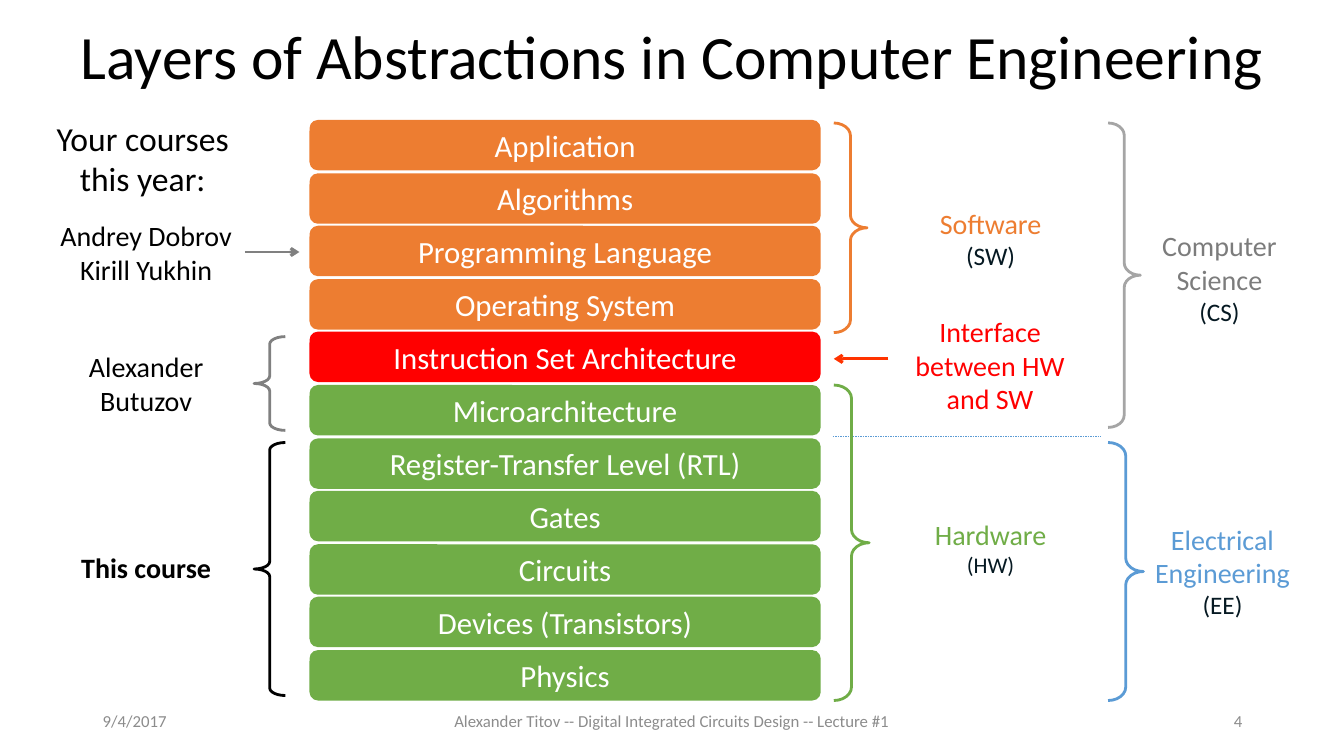
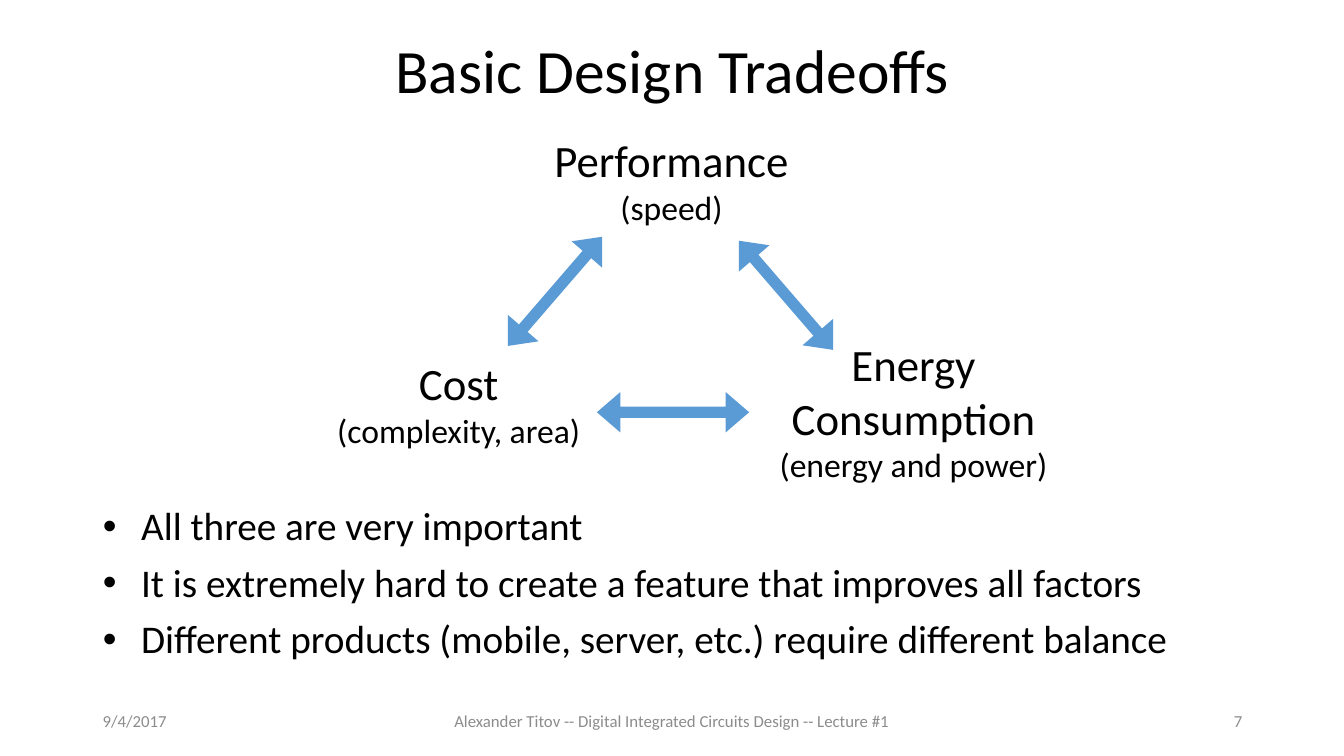
"""Build two lecture slides: the layers of abstraction and the design tradeoffs."""
from lxml.etree import SubElement
from pptx import Presentation
from pptx.dml.color import RGBColor
from pptx.enum.dml import MSO_LINE
from pptx.enum.shapes import MSO_CONNECTOR, MSO_SHAPE
from pptx.enum.text import MSO_ANCHOR, MSO_AUTO_SIZE, PP_ALIGN
from pptx.oxml.ns import qn
from pptx.util import Emu, Pt

PX = 9144
FONT = "Calibri"
BLACK = RGBColor(0x00, 0x00, 0x00)
WHITE = RGBColor(0xFF, 0xFF, 0xFF)
ORANGE = RGBColor(0xED, 0x7D, 0x31)
RED = RGBColor(0xFF, 0x00, 0x00)
ARROW_RED = RGBColor(0xFF, 0x33, 0x00)
GREEN = RGBColor(0x70, 0xAD, 0x47)
BLUE = RGBColor(0x5B, 0x9B, 0xD5)
NAVY = RGBColor(0x06, 0x19, 0x22)
GRAY = RGBColor(0x80, 0x80, 0x80)
LIGHT_GRAY = RGBColor(0xA5, 0xA5, 0xA5)
DARK_GRAY = RGBColor(0x7C, 0x7C, 0x7C)
FOOTER_GRAY = RGBColor(0x8C, 0x8C, 0x8C)

DATE = "9/4/2017"
FOOTER = "Alexander Titov -- Digital Integrated Circuits Design -- Lecture #1"

LAYERS_TITLE = "Layers of Abstractions in Computer Engineering"
LAYERS = [
    ("Application", ORANGE),
    ("Algorithms", ORANGE),
    ("Programming Language", ORANGE),
    ("Operating System", ORANGE),
    ("Instruction Set Architecture", RED),
    ("Microarchitecture", GREEN),
    ("Register-Transfer Level (RTL)", GREEN),
    ("Gates", GREEN),
    ("Circuits", GREEN),
    ("Devices (Transistors)", GREEN),
    ("Physics", GREEN),
]
LAYER_LEFT, LAYER_TOP, LAYER_WIDTH, LAYER_HEIGHT = 307, 119, 507, 50
LAYER_PITCH = 52.6

BRACES = [
    (MSO_SHAPE.RIGHT_BRACE, (827, 382, 35, 313), 0.38, GREEN),
    (MSO_SHAPE.RIGHT_BRACE, (827, 122, 33, 208), 0.38, ORANGE),
    (MSO_SHAPE.RIGHT_BRACE, (1099, 122, 32, 302), 0.38, LIGHT_GRAY),
    (MSO_SHAPE.RIGHT_BRACE, (1099, 439, 35, 256), 0.38, BLUE),
    (MSO_SHAPE.LEFT_BRACE, (252, 334, 31, 93), 0.24, GRAY),
    (MSO_SHAPE.LEFT_BRACE, (252, 439, 31, 251), 0.24, BLACK),
]
ARROWS = [((881, 356), (827, 356), ARROW_RED), ((243, 250), (297, 250), GRAY)]
DIVIDER = ((826, 433), (1092, 433), BLUE)

LAYER_LABELS = [
    ((903, 508, 159, 62),
     [[("Hardware", 20, GREEN), (" ", 16, GREEN), ("(HW)", 16, NAVY)]]),
    ((904, 200, 157, 65), [[("Software ", 20, ORANGE), ("(SW)", 18, NAVY)]]),
    ((890, 307, 184, 98), [[("Interface between HW and SW", 20, RED)]]),
    ((1131, 222, 157, 108),
     [[("Computer Science", 20, DARK_GRAY)], [("(CS)", 18, NAVY)]]),
    ((1134, 513, 157, 108),
     [[("Electrical Engineering", 20, BLUE)], [("(EE)", 18, NAVY)]]),
    ((38, 342, 214, 77), [[("Alexander Butuzov", 20, BLACK)]]),
    ((20, 212, 250, 77),
     [[("Andrey Dobrov", 20, BLACK)], [("Kirill Yukhin", 20, BLACK)]]),
    ((20, 112, 243, 91), [[("Your courses this year:", 24, BLACK)]]),
    ((38, 541, 214, 44), [[("This course", 20, BLACK, True)]]),
]

TRADEOFFS_TITLE = "Basic Design Tradeoffs"
FACTORS = [
    ((502, 127, 328, 104), "Performance", "(speed)"),
    ((291, 348, 328, 104), "Cost", "(complexity, area)"),
    ((742, 329, 328, 158), "Energy Consumption", "(energy and power)"),
]
FACTOR_ARROWS = [
    ((708, 273, 143, 40), 49.2),
    ((479, 269, 143, 40), 130.8),
    ((592, 389, 151, 40), 0),
]
POINTS = [
    "All three are very important",
    "It is extremely hard to create a feature that improves all factors",
    "Different products (mobile, server, etc.) require different balance",
]


def scale(lengths):
    return [Emu(length * PX) for length in lengths]


def apply(target, values):
    for name, value in values.items():
        setattr(target, name, value)


def place(shape, area):
    apply(shape, dict(zip(("left", "top", "width", "height"), scale(area))))


def add_run(para, text, size, color, bold=False):
    span = para.add_run()
    span.text = text
    apply(span.font, {"name": FONT, "size": Pt(size), "bold": bold})
    span.font.color.rgb = color


def write(shape, paragraphs, para_format, anchor=MSO_ANCHOR.TOP):
    frame = shape.text_frame
    apply(frame, {"word_wrap": True, "auto_size": MSO_AUTO_SIZE.NONE,
                  "vertical_anchor": anchor})
    for index, spans in enumerate(paragraphs):
        para = frame.add_paragraph() if index else frame.paragraphs[0]
        apply(para, para_format)
        for span in spans:
            add_run(para, *span)


def add_label(page, area, paragraphs, align=PP_ALIGN.CENTER, anchor=MSO_ANCHOR.TOP):
    box = page.shapes.add_textbox(*scale(area))
    write(box, paragraphs, {"alignment": align}, anchor)


def add_page(deck, layout, title, title_area, number):
    page = deck.slides.add_slide(deck.slide_layouts[layout])
    place(page.shapes.title, title_area)
    write(page.shapes.title, [[(title, 44, BLACK)]],
          {"alignment": PP_ALIGN.CENTER, "line_spacing": 0.9}, MSO_ANCHOR.MIDDLE)
    for left, width, text, align in (
        (92, 300, DATE, PP_ALIGN.LEFT),
        (413, 507, FOOTER, PP_ALIGN.CENTER),
        (942, 300, number, PP_ALIGN.RIGHT),
    ):
        add_label(page, (left, 695, width, 40), [[(text, 12, FOOTER_GRAY)]],
                  align, MSO_ANCHOR.MIDDLE)
    return page


def add_shape(page, preset, area, adjustments=(), fill=None, line=None):
    shape = page.shapes.add_shape(preset, *scale(area))
    shape.shadow.inherit = False
    for index, value in enumerate(adjustments):
        shape.adjustments[index] = value
    for paint, color in ((shape.fill, fill), (shape.line.fill, line)):
        if color is None:
            paint.background()
        else:
            paint.solid()
            paint.fore_color.rgb = color
    if line is not None:
        shape.line.width = Pt(2)
    return shape


def add_line(page, start, end, color, width):
    line = page.shapes.add_connector(MSO_CONNECTOR.STRAIGHT, *scale(start + end))
    line.line.color.rgb = color
    line.line.width = Pt(width)
    SubElement(line._element.spPr, qn("a:effectLst"))
    return line


def build_layers(deck):
    page = add_page(deck, 5, LAYERS_TITLE, (64, 0, 1206, 118), "4")
    divider = add_line(page, *DIVIDER, 0.25)
    divider.line.dash_style = MSO_LINE.DASH
    for preset, area, curl, color in BRACES:
        add_shape(page, preset, area, (curl, 0.5), line=color)
    for index, (name, color) in enumerate(LAYERS):
        top = round(LAYER_TOP + index * LAYER_PITCH)
        layer = add_shape(page, MSO_SHAPE.ROUNDED_RECTANGLE,
                          (LAYER_LEFT, top, LAYER_WIDTH, LAYER_HEIGHT), fill=color)
        write(layer, [[(name, 22, WHITE)]], {"alignment": PP_ALIGN.CENTER},
              MSO_ANCHOR.MIDDLE)
    for start, end, color in ARROWS:
        arrow = add_line(page, start, end, color, 2)
        SubElement(arrow.line._get_or_add_ln(), qn("a:tailEnd"), type="arrow")
    for area, paragraphs in LAYER_LABELS:
        add_label(page, area, paragraphs)


def build_tradeoffs(deck):
    page = add_page(deck, 1, TRADEOFFS_TITLE, (92, 0, 1150, 145), "7")
    body = page.placeholders[1]
    place(body, (92, 498, 1150, 184))
    write(body, [[(point, 28, BLACK)] for point in POINTS],
          {"line_spacing": 0.9, "space_before": Pt(10)})
    for para in body.text_frame.paragraphs:
        properties = para._p.get_or_add_pPr()
        properties.set("marL", str(38 * PX))
        properties.set("indent", str(-38 * PX))
        SubElement(properties, qn("a:buFont"), typeface="Arial")
        SubElement(properties, qn("a:buChar"), char="•")
    for area, name, detail in FACTORS:
        add_label(page, area, [[(name, 32, BLACK)], [(detail, 24, BLACK)]])
    for area, angle in FACTOR_ARROWS:
        arrow = add_shape(page, MSO_SHAPE.LEFT_RIGHT_ARROW, area, (0.28, 0.58), fill=BLUE)
        arrow.rotation = angle


def main():
    deck = Presentation()
    apply(deck, {"slide_width": Emu(1333 * PX), "slide_height": Emu(750 * PX)})
    build_layers(deck)
    build_tradeoffs(deck)
    deck.save("out.pptx")


if __name__ == "__main__":
    main()
